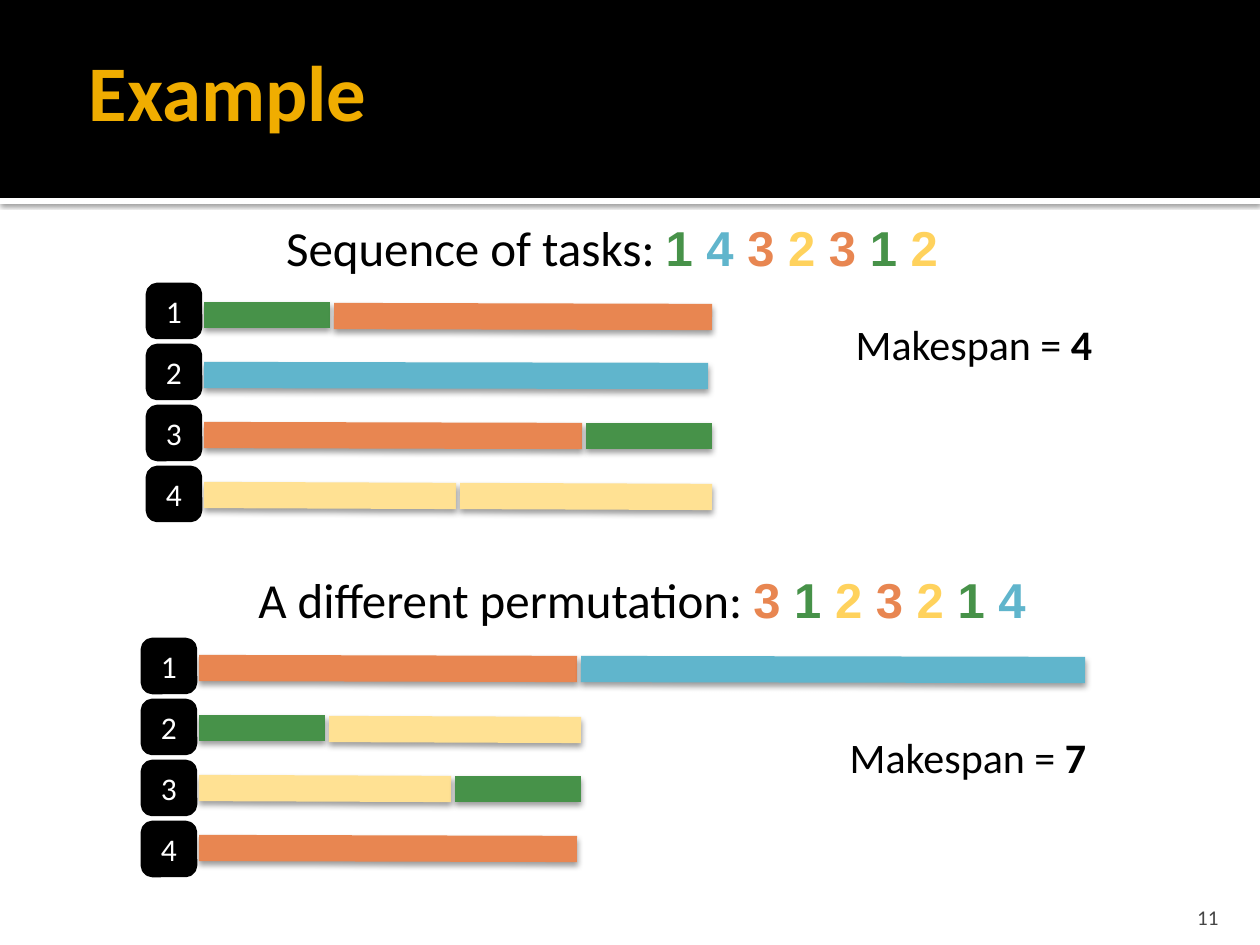
import pptx
import pptx.dml.color
import pptx.enum.shapes
import pptx.enum.text
import pptx.oxml
import pptx.util

RGBColor = pptx.dml.color.RGBColor
ALIGN = pptx.enum.text.PP_ALIGN
ANCHOR = pptx.enum.text.MSO_ANCHOR
SHAPE = pptx.enum.shapes.MSO_SHAPE

BLACK = RGBColor(0x00, 0x00, 0x00)
WHITE = RGBColor(0xFF, 0xFF, 0xFF)
GOLD = RGBColor(0xF0, 0xAD, 0x00)
GREY = RGBColor(0x45, 0x45, 0x45)
GREEN = RGBColor(0x47, 0x92, 0x49)
ORANGE = RGBColor(0xE8, 0x86, 0x51)
BLUE = RGBColor(0x60, 0xB5, 0xCC)
YELLOW = RGBColor(0xFF, 0xD2, 0x5D)
PALE_YELLOW = RGBColor(0xFF, 0xE1, 0x93)

# A task's number is its length in time units
DIGIT_COLORS = {1: GREEN, 2: YELLOW, 3: ORANGE, 4: BLUE}
BAR_COLORS = {**DIGIT_COLORS, 2: PALE_YELLOW}
UNIT = 126
ROW_STEP, BAR_STEP, BADGE, BAR_INDENT, BAR_GAP = 61, 60, 50, 55, 4


def px(length):
    return pptx.util.Emu(round(length * 914400 / 126))


def place(shape, box):
    for name, length in zip(("left", "top", "width", "height"), box):
        setattr(shape, name, px(length))


def write(shape, spans, size, align=ALIGN.CENTER, anchor=ANCHOR.MIDDLE, **insets):
    """Fill a shape with one paragraph of (text, format) spans."""
    frame = shape.text_frame
    settings = {"word_wrap": True, "auto_size": pptx.enum.text.MSO_AUTO_SIZE.NONE,
                "vertical_anchor": anchor}
    for name, value in {**settings, **insets}.items():
        setattr(frame, name, value)
    para = frame.paragraphs[0]
    para.alignment = align
    for text, changes in spans:
        look = {"name": "Calibri", "color": BLACK, "bold": False, **changes}
        span = para.add_run()
        span.text = text
        span.font.color.rgb = look.pop("color")
        span.font.size = pptx.util.Pt(size)
        for name, value in look.items():
            setattr(span.font, name, value)


def add_text(page, box, spans, size, **layout):
    write(page.shapes.add_textbox(*map(px, box)), spans, size, **layout)


def add_shadow(shape, blur, distance, alpha):
    shape.element.spPr.append(pptx.oxml.parse_xml(
        '<a:effectLst xmlns:a="http://schemas.openxmlformats.org/drawingml/2006/main">'
        f'<a:outerShdw blurRad="{pptx.util.Pt(blur)}" dist="{pptx.util.Pt(distance)}" '
        'dir="5400000" algn="t" rotWithShape="0"><a:srgbClr val="000000">'
        f'<a:alpha val="{alpha}000"/></a:srgbClr></a:outerShdw></a:effectLst>'))


def add_header(page, box, text):
    left, top, width, height = box
    title = page.shapes.title
    # White strip with a shadow, then the black band, both behind the title
    strip = (left, top + height, width, 6)
    for color, band_box in ((WHITE, strip), (BLACK, box)):
        band = page.shapes.add_shape(SHAPE.RECTANGLE, *map(px, band_box))
        band.fill.solid()
        band.fill.fore_color.rgb = color
        band.line.fill.background()
        if color == WHITE:
            add_shadow(band, 2.5, 0.8, 60)
        else:
            band.shadow.inherit = False
        title.element.addprevious(band.element)
    place(title, (left + 76, top + 15, width - 151, 150))
    write(title, [(text, {"color": GOLD, "bold": True})], 45, ALIGN.LEFT,
          margin_left=px(13), margin_right=px(6))


def add_heading(page, box, label, tasks, anchor):
    digits = [(f"{task} " if index < len(tasks) - 1 else str(task),
               {"name": "Arial", "color": DIGIT_COLORS[task], "bold": True})
              for index, task in enumerate(tasks)]
    add_text(page, box, [(label, {}), *digits], 28, anchor=anchor)


def add_bar(page, x, y, task):
    drop = 1 if task > 1 else 0
    bar = page.shapes.add_connector(
        pptx.enum.shapes.MSO_CONNECTOR.STRAIGHT,
        *map(px, (x, y, x + task * UNIT, y + drop)))
    bar.line.color.rgb = BAR_COLORS[task]
    bar.line.width = pptx.util.Pt(15)
    add_shadow(bar, 3.5, 2, 38)


def add_schedule(page, left, top, bar_offset, machines):
    """Draw numbered machines, each followed by its tasks in order."""
    for row, tasks in enumerate(machines):
        x = left + BAR_INDENT
        for index, task in enumerate(tasks):
            add_bar(page, x, top + bar_offset + row * BAR_STEP + index, task)
            x += task * UNIT + BAR_GAP
    badges = page.shapes.add_group_shape()
    for row in range(len(machines)):
        badge = badges.shapes.add_shape(
            SHAPE.ROUNDED_RECTANGLE,
            *map(px, (left, top + row * ROW_STEP, BADGE, BADGE)))
        badge.shadow.inherit = False
        badge.fill.solid()
        badge.fill.fore_color.rgb = BLACK
        badge.line.color.rgb = BLACK
        badge.line.width = pptx.util.Pt(3.78)
        write(badge, [(str(row + 1), {"color": WHITE})], 18,
              margin_left=0, margin_right=0)


def add_makespan(page, box, value):
    add_text(page, box, [("Makespan =", {}), (f" {value}", {"bold": True})], 24,
             anchor=ANCHOR.BOTTOM)


def main():
    deck = pptx.Presentation()
    deck.slide_width, deck.slide_height = px(1260), px(945)
    page = deck.slides.add_slide(deck.slide_layouts[5])

    add_header(page, (0, 0, 1260, 198), "Example")

    # First order of tasks
    add_schedule(page, 149, 286, 29, [(1, 3), (4,), (3, 1), (2, 2)])
    add_heading(page, (84, 209, 1056, 74), "Sequence of tasks: ",
                (1, 4, 3, 2, 3, 1, 2), ANCHOR.BOTTOM)
    add_makespan(page, (776, 316, 396, 59), 4)

    # Second order of tasks
    add_schedule(page, 144, 641, 27, [(3, 4), (1, 2), (2, 1), (3,)])
    add_heading(page, (84, 562, 1116, 74), "A different permutation: ",
                (3, 1, 2, 3, 2, 1, 4), ANCHOR.MIDDLE)
    add_makespan(page, (776, 729, 384, 59), 7)

    # Page number
    add_text(page, (1130, 892, 101, 38), [("11", {"color": GREY})], 12,
             align=ALIGN.RIGHT, anchor=ANCHOR.BOTTOM, margin_bottom=0)

    deck.save("out.pptx")


if __name__ == "__main__":
    main()
